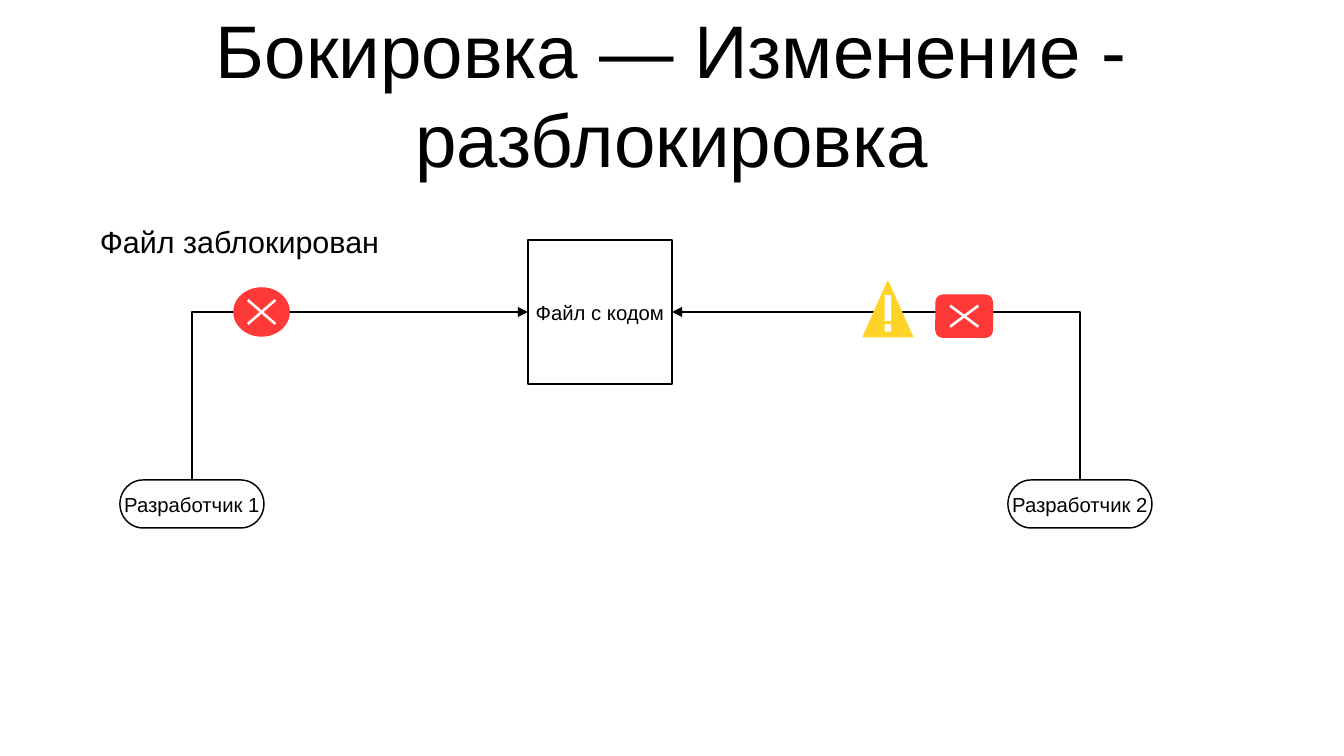
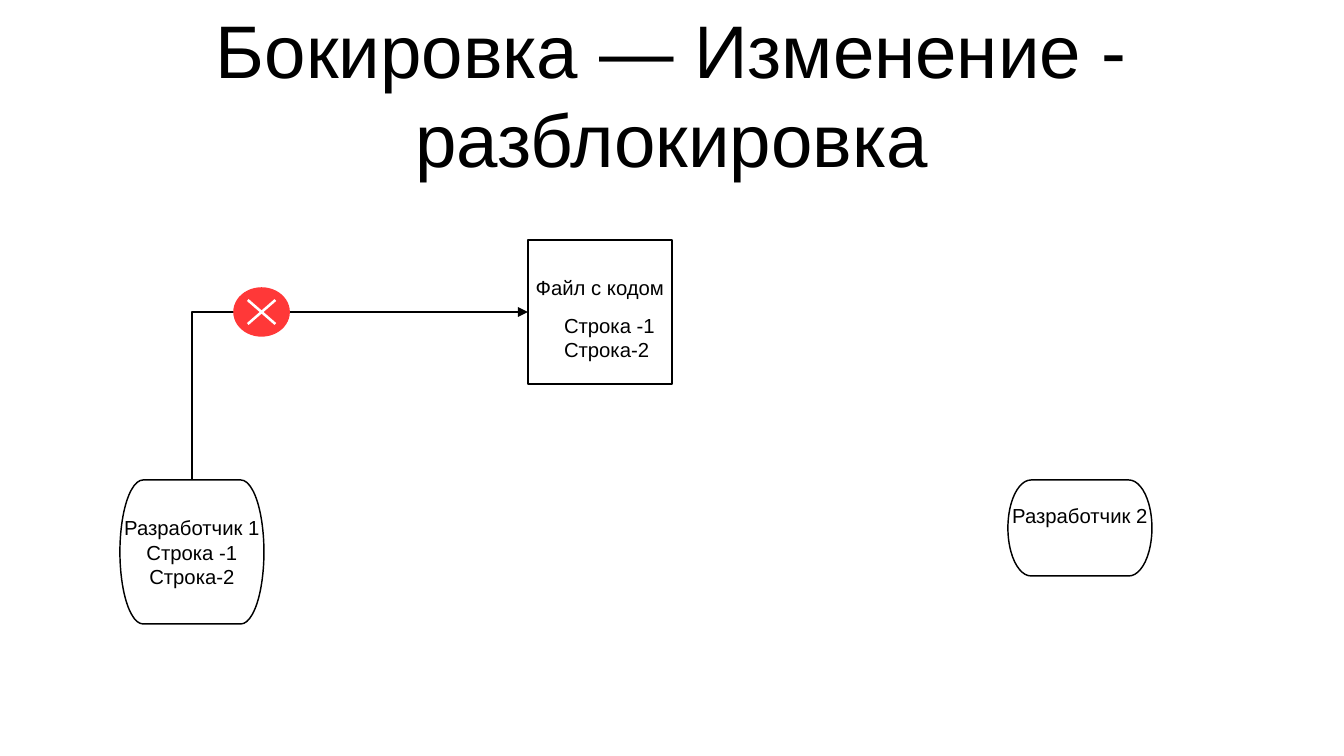
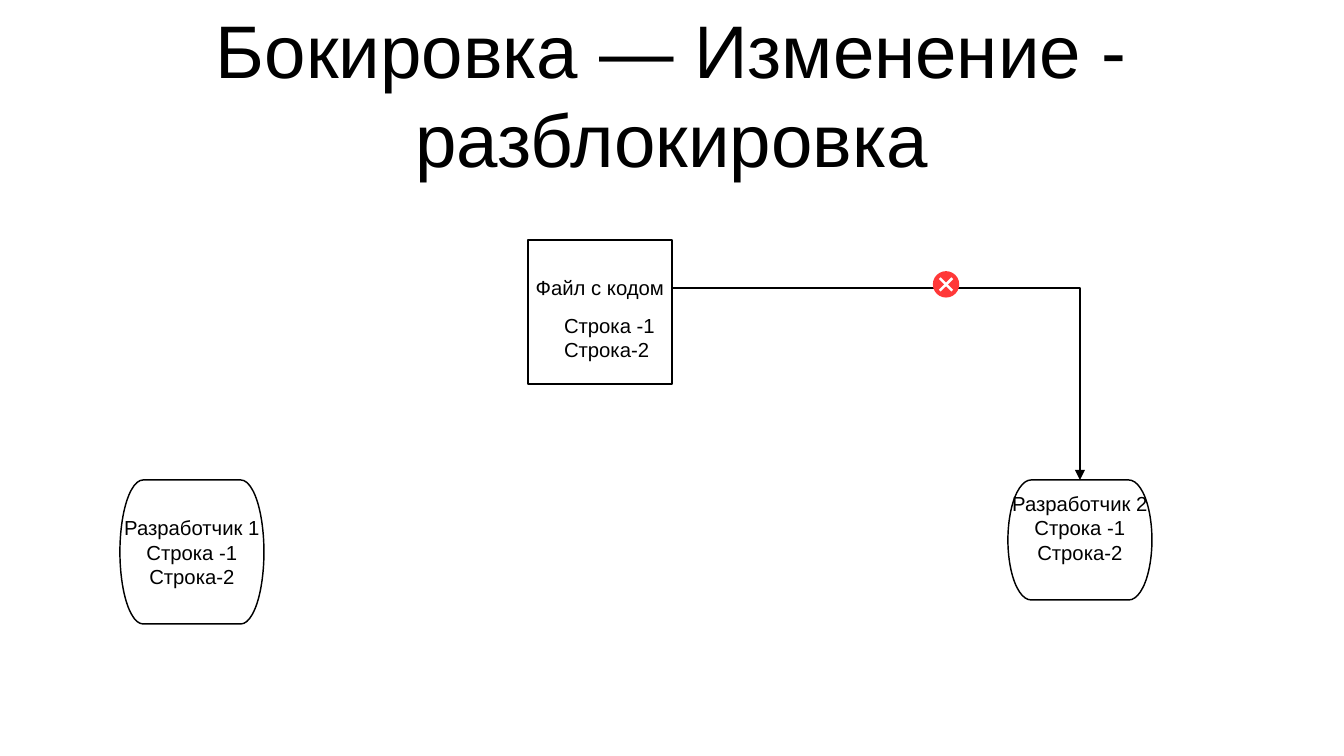
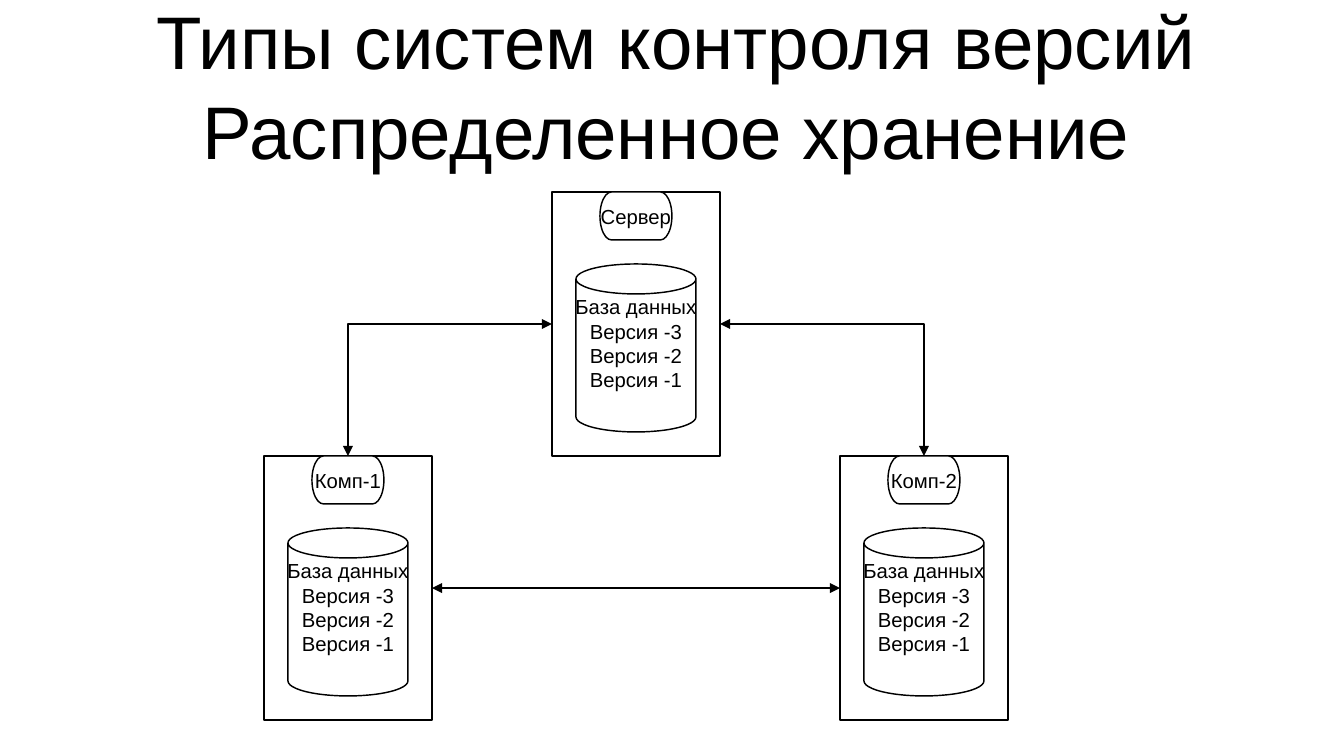
from lxml.etree import SubElement
from pptx import Presentation
from pptx.dml.color import RGBColor
from pptx.enum.shapes import MSO_CONNECTOR as Connector, MSO_SHAPE as Preset
from pptx.enum.text import MSO_ANCHOR as Anchor, PP_ALIGN as Align
from pptx.oxml.ns import qn
from pptx.util import Cm, Inches, Pt

BLACK = RGBColor(0x00, 0x00, 0x00)
WHITE = RGBColor(0xFF, 0xFF, 0xFF)
RED = RGBColor(0xFF, 0x38, 0x38)
YELLOW = RGBColor(0xFF, 0xD4, 0x28)

# The grid has square cells of half a centimetre
COLUMNS, ROWS = 56, 31.5
TOP, LEFT, BOTTOM, RIGHT = range(4)

LOCK_TITLE = ["Бокировка — Изменение - разблокировка"]
CODE_LINES = ["Строка -1", "Строка-2"]
VERSIONS = ["База данных", "Версия -3", "Версия -2", "Версия -1"]


def cells(count):
    return Cm(count * 0.5)


class Deck:
    """Holds the style and the slide being drawn."""

    font_name = "Arial"
    title_size, note_size, body_size = 44, 18, 12
    line_width, cross_width = 0.85, 1.5
    text_line = 0.2  # height of a body line in inches

    def __init__(self):
        self.presentation = Presentation()
        self.presentation.slide_width = cells(COLUMNS)
        self.presentation.slide_height = cells(ROWS)
        self.slide = None

    # Text
    def add_run(self, paragraph, text, size):
        run = paragraph.add_run()
        run.text = text
        run.font.name = self.font_name
        run.font.size = Pt(size)
        run.font.color.rgb = BLACK

    def fill_text(self, frame, lines, size, align, insets):
        (frame.margin_left, frame.margin_top,
         frame.margin_right, frame.margin_bottom) = map(Inches, insets)
        for index, line in enumerate(lines):
            paragraph = frame.add_paragraph() if index else frame.paragraphs[0]
            paragraph.alignment = align
            self.add_run(paragraph, line, size)

    def text_box(self, left, top, width, height):
        return self.slide.shapes.add_textbox(*map(cells, (left, top, width, height))).text_frame

    def start_slide(self, title_lines, left=2.8, top=0.4):
        self.slide = self.presentation.slides.add_slide(self.presentation.slide_layouts[6])
        frame = self.text_box(left, top, 50.4, 6.96)
        frame.word_wrap = True
        frame.vertical_anchor = Anchor.MIDDLE
        self.fill_text(frame, title_lines[:1], self.title_size, Align.CENTER, (0, 0, 0, 0))
        for line in title_lines[1:]:
            frame.paragraphs[0].add_line_break()
            self.add_run(frame.paragraphs[0], line, self.title_size)

    def note(self, lines, left, top, width, height, size=body_size):
        frame = self.text_box(left, top, width, height)
        frame.word_wrap = False
        self.fill_text(frame, lines, size, Align.LEFT, (0.1, 0.01, 0.1, 0.05))

    # Shapes
    def shape(self, preset, left, top, width, height, fill=WHITE, line=None):
        shape = self.slide.shapes.add_shape(preset, *map(cells, (left, top, width, height)))
        shape.shadow.inherit = False
        shape.fill.solid()
        shape.fill.fore_color.rgb = fill
        shape.line.color.rgb = line or fill
        shape.line.width = Pt(self.line_width)
        return shape

    def block(self, preset, left, top, width, height, lines=(), raised=0):
        """Outlined block; its text is raised by free lines at the bottom."""
        shape = self.shape(preset, left, top, width, height, line=BLACK)
        if lines:
            frame = shape.text_frame
            frame.word_wrap = False
            frame.vertical_anchor = Anchor.MIDDLE
            insets = (0.1, 0.05, 0.1, 0.05 + raised * self.text_line)
            self.fill_text(frame, lines, self.body_size, Align.CENTER, insets)
        return shape

    # Lines
    def line(self, start, end, color=BLACK, width=line_width, arrows=()):
        connector = self.slide.shapes.add_connector(Connector.STRAIGHT, *start, *end)
        connector.line.color.rgb = color
        connector.line.width = Pt(width)
        properties = connector.element.spPr
        for arrow in arrows:
            SubElement(properties.find(qn("a:ln")), qn(f"a:{arrow}")).set("type", "triangle")
        SubElement(properties, qn("a:effectLst"))
        return connector

    def site(self, shape, side):
        x = {LEFT: 0, RIGHT: shape.width}.get(side, shape.width // 2)
        y = {TOP: 0, BOTTOM: shape.height}.get(side, shape.height // 2)
        return shape.left + x, shape.top + y

    def link(self, source, source_side, target, target_side, arrows, start=None):
        """Joins two shapes, sideways first; a given start replaces the source side."""
        begin = start or self.site(source, source_side)
        connector = self.line(begin, self.site(target, target_side), arrows=arrows)
        if target_side == TOP:
            connector.element.spPr.find(qn("a:prstGeom")).set("prst", "bentConnector2")
        if not start:
            connector.begin_connect(source, source_side)
        connector.end_connect(target, target_side)

    # Signs
    def stop_sign(self, preset, left, top, width, height):
        self.shape(preset, left, top, width, height, RED)
        near, far = cells(left + width / 4), cells(left + width * 3 / 4)
        high, low = cells(top + height / 4), cells(top + height * 3 / 4)
        self.line((near, low), (far, high), WHITE, self.cross_width)
        self.line((far, low), (near, high), WHITE, self.cross_width)

    def warning_sign(self, left, top):
        self.shape(Preset.ISOSCELES_TRIANGLE, left, top, 2.05, 2.3, YELLOW)
        for offset, height in ((0.57, 1.07), (1.79, 0.3)):
            bar = self.shape(Preset.RECTANGLE, left + 0.89, top + offset, 0.27, height)
            bar.line.fill.background()

    # Repeated parts of the diagrams
    def code_file(self, listed=True):
        return self.block(Preset.FLOWCHART_PROCESS, 22, 10, 6, 6, ["Файл с кодом"],
                          raised=2 if listed else 0)

    def file_lines(self):
        self.note(CODE_LINES, 23, 13, 4.83, 2.24)

    def developer(self, number, height, lines=(), raised=0):
        return self.block(Preset.FLOWCHART_TERMINATOR, {1: 5, 2: 42}[number], 20, 6, height,
                          [f"Разработчик {number}", *lines], raised)

    def locked_link(self, code_file, developer):
        self.link(code_file, LEFT, developer, TOP, ["headEnd"])
        self.stop_sign(Preset.OVAL, 9.75, 12, 2.3, 2)

    def storage(self, name, left, top):
        frame = self.block(Preset.FLOWCHART_PROCESS, left, top, 7, 11)
        self.block(Preset.FLOWCHART_TERMINATOR, left + 2, top, 3, 2, [name])
        self.block(Preset.CAN, left + 1, top + 3, 5, 7, VERSIONS, raised=1)
        return frame


def main():
    deck = Deck()

    # Slide 1: the file is locked by the first developer
    deck.start_slide(LOCK_TITLE)
    code_file = deck.code_file(listed=False)
    first, second = deck.developer(1, 2), deck.developer(2, 2)
    deck.locked_link(code_file, first)
    deck.link(code_file, RIGHT, second, TOP, ["headEnd"])
    deck.warning_sign(35.97, 11.73)
    deck.stop_sign(Preset.ROUNDED_RECTANGLE, 39, 12.3, 2.35, 1.75)
    deck.note(["Файл заблокирован"], 3.66, 9.25, 12.65, 1.73, deck.note_size)

    # Slide 2: the first developer changes the file
    deck.start_slide(LOCK_TITLE)
    code_file = deck.code_file()
    first = deck.developer(1, 6, CODE_LINES)
    deck.developer(2, 4, raised=1)
    deck.locked_link(code_file, first)
    deck.file_lines()

    # Slide 3: the second developer gets the changes
    deck.start_slide(LOCK_TITLE)
    code_file = deck.code_file()
    deck.developer(1, 6, CODE_LINES)
    second = deck.developer(2, 5, CODE_LINES, raised=1)
    deck.file_lines()
    deck.link(code_file, RIGHT, second, TOP, ["tailEnd"], start=(cells(28), cells(12)))
    deck.stop_sign(Preset.OVAL, 38.9, 11.33, 1.04, 1.04)

    # Slide 4: distributed storage
    deck.start_slide(["Типы систем контроля версий", "Распределенное хранение "], 3, 0.05)
    server = deck.storage("Сервер", 23, 8)
    first = deck.storage("Комп-1", 11, 19)
    second = deck.storage("Комп-2", 35, 19)
    for source, side, target, target_side in (
        (first, RIGHT, second, LEFT),
        (server, RIGHT, second, TOP),
        (server, LEFT, first, TOP),
    ):
        deck.link(source, side, target, target_side, ["headEnd", "tailEnd"])

    deck.presentation.save("out.pptx")


if __name__ == "__main__":
    main()
